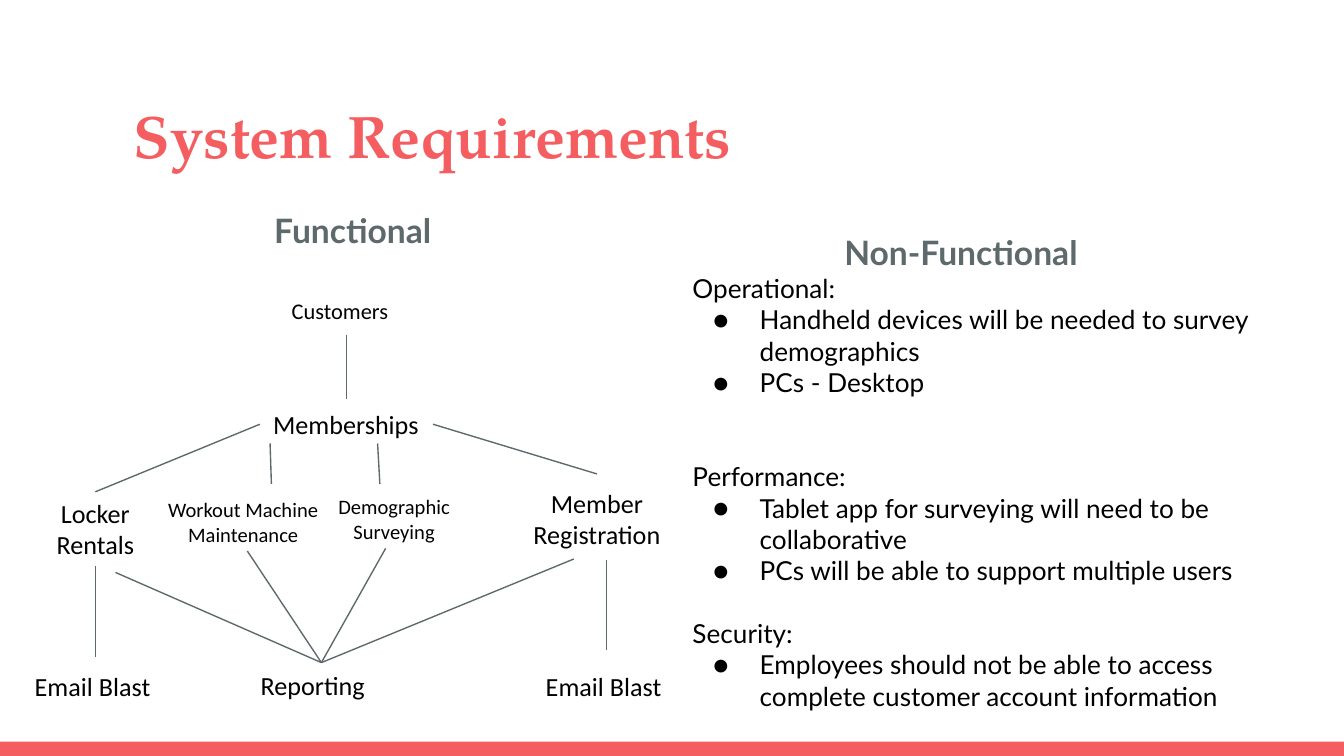
from dataclasses import dataclass

import pptx
import pptx.util
from lxml import etree
from pptx.dml.color import RGBColor
from pptx.enum.shapes import MSO_CONNECTOR, MSO_SHAPE
from pptx.enum.text import MSO_ANCHOR, MSO_AUTO_SIZE, PP_ALIGN
from pptx.oxml.ns import qn

Pt = pptx.util.Pt
TOP, LEFT, BOTTOM, RIGHT = range(4)


@dataclass(frozen=True)
class Theme:
    coral: RGBColor = RGBColor(0xF5, 0x5E, 0x61)
    slate: RGBColor = RGBColor(0x5E, 0x69, 0x6C)
    black: RGBColor = RGBColor(0, 0, 0)
    title_font: str = "TeX Gyre Pagella"
    body_font: str = "Lato"
    label_font: str = "Calibri"
    title: int = 32
    heading: int = 18
    body: int = 14
    label: int = 12
    small: int = 11
    line: float = 0.75
    inset: float = 7.2


THEME = Theme()

# name: (text, left, top, width, height, size, alignment, anchor)
NODES = {
    "customers": ("Customers", 149.2, 151.9, 72.8, 27.4, THEME.label, PP_ALIGN.LEFT, MSO_ANCHOR.TOP),
    "memberships": ("Memberships", 139.2, 213.6, 92.8, 27.4, THEME.body, PP_ALIGN.LEFT, MSO_ANCHOR.MIDDLE),
    "maintenance": ("Workout Machine Maintenance", 80.6, 259.2, 99.4, 39.6,
                    THEME.small, PP_ALIGN.CENTER, MSO_ANCHOR.TOP),
    "surveying": ("Demographic Surveying", 158.9, 257.5, 104.4, 39.6,
                  THEME.small, PP_ALIGN.CENTER, MSO_ANCHOR.TOP),
    "lockers": ("Locker Rentals", 21.6, 263.5, 59, 39.6, THEME.body, PP_ALIGN.CENTER, MSO_ANCHOR.MIDDLE),
    "registration": ("Member Registration", 275.9, 253.9, 87.8, 39.6,
                     THEME.body, PP_ALIGN.CENTER, MSO_ANCHOR.TOP),
    "locker email": ("Email Blast", 11.5, 352, 79.2, 27.4, THEME.body, PP_ALIGN.LEFT, MSO_ANCHOR.TOP),
    "reporting": ("Reporting", 132.6, 355, 79.2, 23.8, THEME.body, PP_ALIGN.LEFT, MSO_ANCHOR.MIDDLE),
    "member email": ("Email Blast", 285.3, 352, 79.2, 27.4, THEME.body, PP_ALIGN.LEFT, MSO_ANCHOR.TOP),
}

# Each end is a point, or a node's name and side.
LINKS = [
    (("customers", BOTTOM), ("memberships", TOP)),
    (("memberships", LEFT), ("lockers", TOP)),
    (("memberships", RIGHT), ("registration", TOP)),
    ((144.7, 237.6), (145.4, 259.2)),
    ((202.3, 237.6), (203.5, 259.2)),
    ((61.9, 306.7), ("reporting", TOP)),
    ((132.5, 295.2), ("reporting", TOP)),
    ((206.6, 293.8), ("reporting", TOP)),
    ((307.4, 299.5), ("reporting", TOP)),
    (("lockers", BOTTOM), ("locker email", TOP)),
    ((324.9, 300.2), (324.9, 348.5)),
]

# heading, blank lines above it, bullets
REQUIREMENTS = [
    ("Operational:", 0, ["Handheld devices will be needed to survey demographics", "PCs - Desktop"]),
    ("Performance:", 2, ["Tablet app for surveying will need to be collaborative",
                         "PCs will be able to support multiple users"]),
    ("Security:", 1, ["Employees should not be able to access complete customer account information"]),
]


def set_frame(tf, anchor):
    tf.word_wrap = True
    tf.auto_size = MSO_AUTO_SIZE.NONE
    tf.vertical_anchor = anchor
    tf.margin_left = tf.margin_right = tf.margin_top = tf.margin_bottom = Pt(THEME.inset)


def set_paragraph(p, text, size, font, color, bold=False, align=PP_ALIGN.LEFT):
    p.text = text
    p.alignment = align
    p.font.size = Pt(size)
    p.font.name = font
    p.font.bold = bold
    p.font.color.rgb = color


def add_text(s, box, text, size, font, color, bold=False, align=PP_ALIGN.LEFT, anchor=MSO_ANCHOR.TOP):
    sp = s.shapes.add_textbox(*map(Pt, box))
    set_frame(sp.text_frame, anchor)
    set_paragraph(sp.text_frame.paragraphs[0], text, size, font, color, bold, align)
    return sp


def set_title(s, text):
    sp = s.shapes.title
    sp.left, sp.top, sp.width, sp.height = map(Pt, (64.5, 45.6, 591, 48.2))
    set_frame(sp.text_frame, MSO_ANCHOR.TOP)
    set_paragraph(sp.text_frame.paragraphs[0], text, THEME.title, THEME.title_font, THEME.coral, bold=True)


def add_footer_bar(s):
    sp = s.shapes.add_shape(MSO_SHAPE.RECTANGLE, 0, Pt(397.4), Pt(720), Pt(7.6))
    sp.shadow.inherit = False
    sp.fill.solid()
    sp.fill.fore_color.rgb = THEME.coral
    sp.line.fill.background()


def add_link(s, nodes, start, end):
    line = s.shapes.add_connector(MSO_CONNECTOR.STRAIGHT, 0, 0, 0, 0)
    if start[0] in nodes:
        line.begin_connect(nodes[start[0]], start[1])
    else:
        line.begin_x, line.begin_y = map(Pt, start)
    if end[0] in nodes:
        line.end_connect(nodes[end[0]], end[1])
    else:
        line.end_x, line.end_y = map(Pt, end)
    line.line.color.rgb = THEME.slate
    line.line.width = Pt(THEME.line)
    etree.SubElement(line._element.spPr, qn("a:effectLst"))


def add_bullet(p):
    pPr = p._p.get_or_add_pPr()
    pPr.set("marL", str(Pt(36)))
    pPr.set("indent", str(-Pt(25)))
    for bullet in (etree.Element(qn("a:buFont"), typeface=THEME.body_font),
                   etree.Element(qn("a:buChar"), char="●")):
        pPr.insert_element_before(bullet, "a:tabLst", "a:defRPr", "a:extLst")


def add_requirements(s, box, groups):
    sp = s.shapes.add_textbox(*map(Pt, box))
    tf = sp.text_frame
    set_frame(tf, MSO_ANCHOR.TOP)
    p = tf.paragraphs[0]
    for heading, blank_lines, bullets in groups:
        if blank_lines:
            p = tf.add_paragraph()
            p.space_before = Pt(blank_lines * THEME.body * 1.2)
        set_paragraph(p, heading, THEME.body, THEME.body_font, THEME.black)
        for text in bullets:
            p = tf.add_paragraph()
            set_paragraph(p, text, THEME.body, THEME.body_font, THEME.black)
            add_bullet(p)


def add_diagram(s):
    nodes = {}
    for name, (text, *box, size, align, anchor) in NODES.items():
        nodes[name] = add_text(s, box, text, size, THEME.label_font, THEME.black,
                               align=align, anchor=anchor)
    for start, end in LINKS:
        add_link(s, nodes, start, end)


def main():
    prs = pptx.Presentation()
    prs.slide_width, prs.slide_height = Pt(720), Pt(405)
    s = prs.slides.add_slide(prs.slide_layouts[5])
    add_footer_bar(s)
    set_title(s, "System Requirements")
    heading = (THEME.heading, THEME.body_font, THEME.slate, True, PP_ALIGN.CENTER)
    add_text(s, (61.9, 105.1, 254.2, 33.8), "Functional", *heading)
    sp = add_text(s, (400.3, 90.7, 229, 62.6), "Non-Functional", *heading, MSO_ANCHOR.BOTTOM)
    p = sp.text_frame.paragraphs[0]
    p.line_spacing = 1.15
    p.space_after = Pt(16)
    add_diagram(s)
    add_requirements(s, (363.9, 138.7, 336.2, 240.5), REQUIREMENTS)
    prs.save("out.pptx")


if __name__ == "__main__":
    main()
